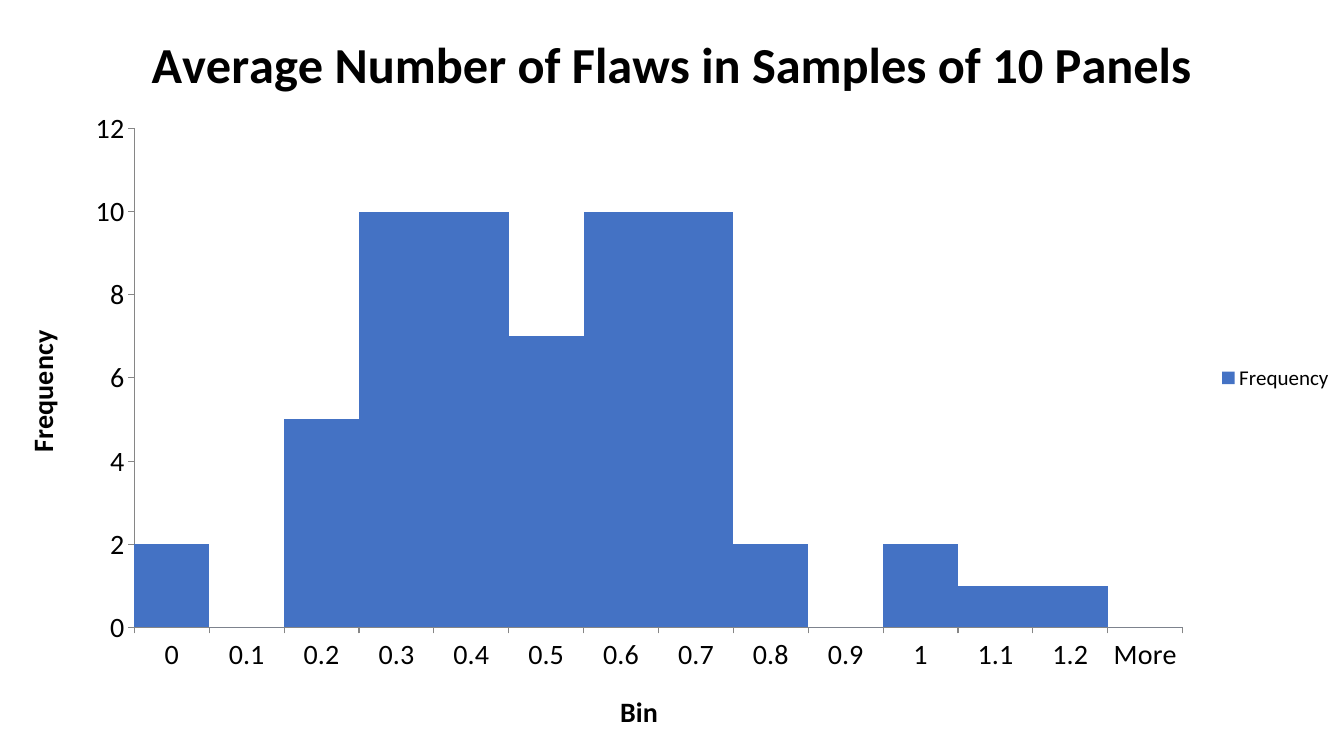
from dataclasses import dataclass

from lxml.etree import SubElement
from pptx import Presentation
from pptx.chart.axis import CategoryAxis, ValueAxis
from pptx.chart.chart import Chart
from pptx.chart.data import CategoryChartData
from pptx.dml.color import RGBColor
from pptx.enum.chart import XL_CHART_TYPE, XL_LEGEND_POSITION, XL_TICK_MARK
from pptx.oxml.ns import qn
from pptx.text.text import Font, TextFrame
from pptx.util import Inches, Pt

FONT_NAME = "Calibri"
TEXT_COLOR = "000000"
BAR_COLOR = "4472C4"
AXIS_COLOR = "868686"


@dataclass(frozen=True)
class AxisStyle:
    axis: CategoryAxis | ValueAxis
    title: str


@dataclass(frozen=True)
class PlotArea:
    x: float
    y: float
    w: float
    h: float


def color(value: str) -> RGBColor:
    return RGBColor.from_string(value)


def style_font(font: Font, size: float, bold: bool = False) -> None:
    font.name = FONT_NAME
    font.size = Pt(size)
    font.bold = bold
    font.color.rgb = color(TEXT_COLOR)


def write_title(text_frame: TextFrame, text: str, size: float) -> None:
    text_frame.text = text
    style_font(text_frame.paragraphs[0].font, size, bold=True)


def style_axis(style: AxisStyle) -> None:
    axis = style.axis
    write_title(axis.axis_title.text_frame, style.title, 20)
    style_font(axis.tick_labels.font, 20)
    axis.has_major_gridlines = False
    axis.major_tick_mark = XL_TICK_MARK.OUTSIDE
    axis.minor_tick_mark = XL_TICK_MARK.NONE
    axis.format.line.color.rgb = color(AXIS_COLOR)
    axis.format.line.width = Pt(0.75)


def place_plot(chart: Chart, area: PlotArea) -> None:
    plot_area = chart.plots[0]._element.getparent()
    layout = plot_area.find(qn("c:layout"))
    if layout is None:
        layout = SubElement(plot_area, qn("c:layout"))
        plot_area.insert(0, layout)
    manual = SubElement(layout, qn("c:manualLayout"))
    settings = {
        "layoutTarget": "inner", "xMode": "edge", "yMode": "edge",
        "x": area.x, "y": area.y, "w": area.w, "h": area.h,
    }
    for name, value in settings.items():
        SubElement(manual, qn(f"c:{name}")).set("val", str(value))


presentation = Presentation()
presentation.slide_width = Inches(13.33)
presentation.slide_height = Inches(7.5)
slide = presentation.slides.add_slide(presentation.slide_layouts[6])

chart_data = CategoryChartData()
chart_data.categories = [f"{step / 10:g}" for step in range(13)] + ["More"]
chart_data.add_series("Frequency", (2, 0, 5, 10, 10, 7, 10, 10, 2, 0, 2, 1, 1, 0))
chart = slide.shapes.add_chart(
    XL_CHART_TYPE.COLUMN_CLUSTERED, 0, 0,
    presentation.slide_width, presentation.slide_height, chart_data,
).chart

style_font(chart.font, 10)
chart.has_title = True
write_title(chart.chart_title.text_frame, "Average Number of Flaws in Samples of 10 Panels", 36)

chart.has_legend = True
chart.legend.position = XL_LEGEND_POSITION.RIGHT
chart.legend.include_in_layout = False
style_font(chart.legend.font, 15)

plot = chart.plots[0]
plot.gap_width = 0
plot.vary_by_categories = False
bar_fill = plot.series[0].format.fill
bar_fill.solid()
bar_fill.fore_color.rgb = color(BAR_COLOR)

for axis_style in (AxisStyle(chart.category_axis, "Bin"), AxisStyle(chart.value_axis, "Frequency")):
    style_axis(axis_style)
chart.value_axis.minimum_scale = 0
chart.value_axis.maximum_scale = 12
chart.value_axis.major_unit = 2
place_plot(chart, PlotArea(x=0.1, y=0.17, w=0.78, h=0.66))

presentation.save("out.pptx")
